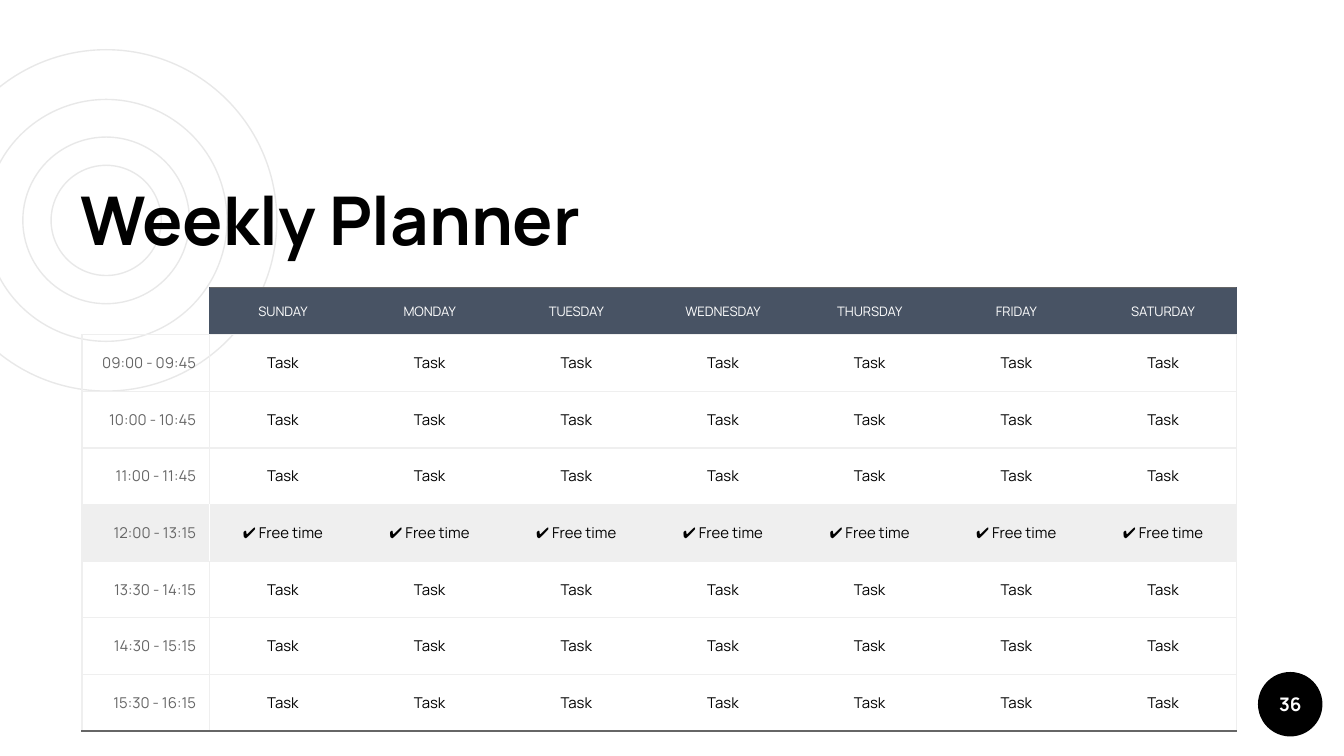
import dataclasses

import lxml.etree
import pptx
import pptx.dml.color
import pptx.enum.shapes
import pptx.enum.text
import pptx.oxml.ns
import pptx.util

Inches = pptx.util.Inches
Align = pptx.enum.text.PP_ALIGN
Anchor = pptx.enum.text.MSO_ANCHOR
OVAL = pptx.enum.shapes.MSO_SHAPE.OVAL


@dataclasses.dataclass(frozen=True)
class Theme:
    font: str = "Manrope"
    ink: str = "000000"
    paper: str = "FFFFFF"
    header: str = "485364"
    muted: str = "666666"
    grid: str = "EFEFEF"
    ring: str = "E8E8E8"
    title_size: float = 36
    number_size: float = 10
    header_size: float = 7
    body_size: float = 8
    line_width: float = 0.75


THEME = Theme()
DAYS = ["SUNDAY", "MONDAY", "TUESDAY", "WEDNESDAY", "THURSDAY", "FRIDAY", "SATURDAY"]
FREE_SLOT = "12:00 - 13:15"
SLOTS = [
    "09:00 - 09:45", "10:00 - 10:45", "11:00 - 11:45", FREE_SLOT,
    "13:30 - 14:15", "14:30 - 15:15", "15:30 - 16:15",
]


def rgb(color):
    return pptx.dml.color.RGBColor.from_string(color)


def write(frame, text, size, color, align, bold=False):
    para = frame.paragraphs[0]
    para.text = text
    para.alignment = align
    para.font.name = THEME.font
    para.font.size = pptx.util.Pt(size)
    para.font.bold = bold
    para.font.color.rgb = rgb(color)


def add_rings(page, center_x, center_y, diameters):
    rings = page.shapes.add_group_shape()
    for diameter in diameters:
        ring = rings.shapes.add_shape(
            OVAL, Inches(center_x - diameter / 2), Inches(center_y - diameter / 2),
            Inches(diameter), Inches(diameter))
        ring.shadow.inherit = False
        ring.fill.background()
        ring.line.color.rgb = rgb(THEME.ring)
        ring.line.width = pptx.util.Pt(THEME.line_width)
    page.shapes.title.element.addprevious(rings.element)


def add_title(page, left, top, width, height, text):
    title = page.shapes.title
    title.left, title.top = Inches(left), Inches(top)
    title.width, title.height = Inches(width), Inches(height)
    frame = title.text_frame
    frame.auto_size = pptx.enum.text.MSO_AUTO_SIZE.NONE
    frame.vertical_anchor = Anchor.BOTTOM
    frame.margin_left = frame.margin_right = Inches(0.1)
    frame.margin_top = frame.margin_bottom = Inches(0.1)
    write(frame, text, THEME.title_size, THEME.ink, Align.LEFT, bold=True)


def add_page_number(page, left, top, diameter, text):
    badge = page.shapes.add_shape(
        OVAL, Inches(left), Inches(top), Inches(diameter), Inches(diameter))
    badge.shadow.inherit = False
    badge.fill.solid()
    badge.fill.fore_color.rgb = rgb(THEME.ink)
    badge.line.fill.background()
    frame = badge.text_frame
    frame.vertical_anchor = Anchor.MIDDLE
    frame.margin_left = frame.margin_right = 0
    frame.margin_top = frame.margin_bottom = 0
    write(frame, text, THEME.number_size, THEME.paper, Align.CENTER, bold=True)


def set_borders(cell, colors):
    properties = cell._tc.get_or_add_tcPr()
    for index, (side, color) in enumerate(zip(("lnL", "lnR", "lnT", "lnB"), colors)):
        line = lxml.etree.Element(
            pptx.oxml.ns.qn(f"a:{side}"), w=str(pptx.util.Pt(THEME.line_width)))
        properties.insert(index, line)
        if color is None:
            lxml.etree.SubElement(line, pptx.oxml.ns.qn("a:noFill"))
        else:
            fill = lxml.etree.SubElement(line, pptx.oxml.ns.qn("a:solidFill"))
            lxml.etree.SubElement(fill, pptx.oxml.ns.qn("a:srgbClr"), val=color)


def horizontal_rule(edge, column):
    if edge == 0:
        return THEME.muted if column else None
    return THEME.muted if edge == len(SLOTS) + 1 else THEME.grid


def vertical_rule(edge, row):
    if edge not in (0, 1, len(DAYS) + 1):
        return None
    if row == 0:
        return THEME.header if edge else None
    if edge == 1 and SLOTS[row - 1] == FREE_SLOT:
        return THEME.paper
    return THEME.grid


def format_cell(cell, row, column):
    fill = None
    if row == 0 and column:
        fill = THEME.header
    elif row and SLOTS[row - 1] == FREE_SLOT:
        fill = THEME.grid
    if fill:
        cell.fill.solid()
        cell.fill.fore_color.rgb = rgb(fill)
    else:
        cell.fill.background()
    margin = Inches(0.1) if row or column else 0
    cell.margin_left = cell.margin_right = margin
    cell.margin_top = cell.margin_bottom = margin
    cell.vertical_anchor = Anchor.MIDDLE
    set_borders(cell, (
        vertical_rule(column, row), vertical_rule(column + 1, row),
        horizontal_rule(row, column), horizontal_rule(row + 1, column)))


def add_planner(page, left, top, width, height):
    slot_width, header_height = 0.95, 0.35
    table = page.shapes.add_table(
        len(SLOTS) + 1, len(DAYS) + 1,
        Inches(left), Inches(top), Inches(width), Inches(height)).table
    table.first_row = table.horz_banding = False
    for index, column in enumerate(table.columns):
        column.width = Inches((width - slot_width) / len(DAYS) if index else slot_width)
    for index, row in enumerate(table.rows):
        row.height = Inches((height - header_height) / len(SLOTS) if index else header_height)

    grid = [[""] + DAYS]
    for slot in SLOTS:
        entry = "✔ Free time" if slot == FREE_SLOT else "Task"
        grid.append([slot] + [entry] * len(DAYS))
    for row, texts in enumerate(grid):
        for column, text in enumerate(texts):
            cell = table.cell(row, column)
            format_cell(cell, row, column)
            if row == 0:
                style = (THEME.header_size, THEME.paper, Align.CENTER)
            elif column == 0:
                style = (THEME.body_size, THEME.muted, Align.RIGHT)
            else:
                style = (THEME.body_size, THEME.ink, Align.CENTER)
            if text:
                write(cell.text_frame, text, *style)


def main():
    deck = pptx.Presentation()
    deck.slide_width, deck.slide_height = Inches(10), Inches(10 * 9 / 16)
    page = deck.slides.add_slide(deck.slide_layouts[5])
    add_rings(page, 0.79, 1.64, (2.54, 1.24, 1.8, 0.82))
    add_title(page, 0.5, 1.28, 5.71, 0.75, "Weekly Planner")
    add_page_number(page, 9.36, 5, 0.48, "36")
    add_planner(page, 0.61, 2.14, 8.59, 3.3)
    deck.save("out.pptx")


if __name__ == "__main__":
    main()
